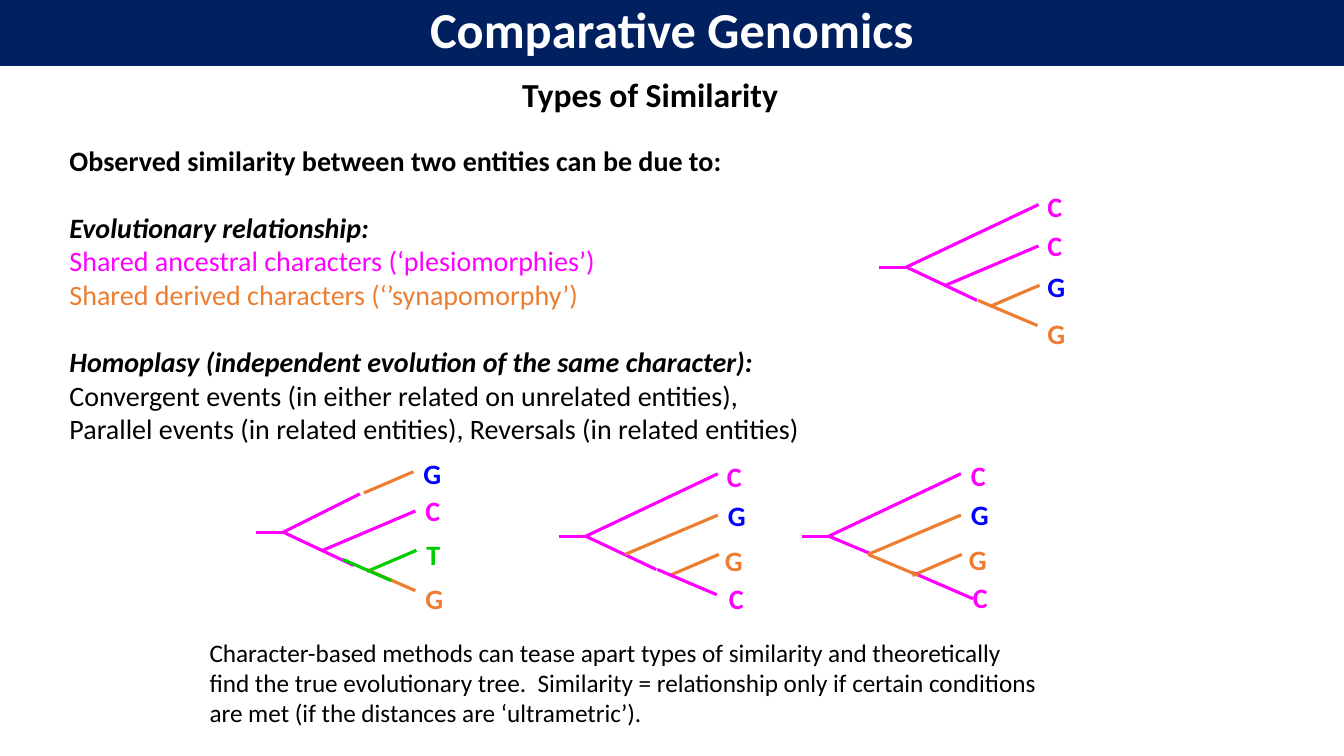
from lxml import etree
from pptx import Presentation
from pptx.dml.color import RGBColor as RGB
from pptx.enum.shapes import MSO_CONNECTOR as Conn, MSO_SHAPE as Kind
from pptx.enum.text import MSO_ANCHOR as Anchor, PP_ALIGN as Align
from pptx.oxml.ns import qn
from pptx.util import Pt

SCALE = 9144  # EMU per px, 100 px to the inch
BLACK = RGB(0x00, 0x00, 0x00)
WHITE = RGB(0xFF, 0xFF, 0xFF)
NAVY = RGB(0x00, 0x20, 0x60)
PINK = RGB(0xFF, 0x00, 0xFF)
ORANGE = RGB(0xED, 0x7D, 0x31)
BLUE = RGB(0x00, 0x00, 0xFF)
GREEN = RGB(0x00, 0xCC, 0x00)


class Deck:
    def __init__(self, wide, high):
        self.font = "Calibri"
        self.width = Pt(2.25)
        self.show = Presentation()
        self.show.slide_width = wide * SCALE
        self.show.slide_height = high * SCALE
        self.slide = self.show.slides.add_slide(self.show.slide_layouts[6])
        self.shapes = self.slide.shapes

    def style(self, para, size, color, bold=False, italic=False):
        for run in para.runs:
            font = run.font
            font.name, font.size = self.font, Pt(size)
            font.bold, font.italic = bold, italic
            font.color.rgb = color

    def ink(self, line, color):
        line.color.rgb = color
        line.width = self.width

    def text(self, box, size, rows):
        """Rows are (words, color, bold, italic, space before in points)."""
        frame = self.shapes.add_textbox(*(n * SCALE for n in box)).text_frame
        frame.word_wrap = True
        frame.text = "\n".join(row[0] for row in rows)
        for para, (_, color, bold, italic, gap) in zip(frame.paragraphs, rows):
            if gap:
                para.space_before = Pt(gap)
            self.style(para, size, color, bold, italic)

    def bar(self, box, words):
        rect = self.shapes.add_shape(Kind.RECTANGLE, *(n * SCALE for n in box))
        rect.shadow.inherit = False
        rect.fill.solid()
        rect.fill.fore_color.rgb = NAVY
        self.ink(rect.line, NAVY)
        frame = rect.text_frame
        frame.vertical_anchor = Anchor.MIDDLE
        frame.text = words
        para = frame.paragraphs[0]
        para.alignment, para.line_spacing = Align.CENTER, 0.9
        self.style(para, 36, WHITE, True)

    def line(self, x1, y1, x2, y2, color):
        ends = (n * SCALE for n in (x1, y1, x2, y2))
        link = self.shapes.add_connector(Conn.STRAIGHT, *ends)
        self.ink(link.line, color)
        etree.SubElement(link._element.spPr, qn("a:effectLst"))

    def bend(self, start, *rest):
        path = self.shapes.build_freeform(*start, scale=SCALE)
        path.add_line_segments(rest, close=False)
        shape = path.convert_to_shape()
        shape.shadow.inherit = False
        shape.fill.background()
        self.ink(shape.line, PINK)

    def tree(self, x, y, tip, low, twigs, tags):
        """Draw a tree; all other points are offsets from its fork at x, y."""
        self.bend((x + tip[0], y + tip[1]), (x, y), (x + low[0], y + low[1]))
        self.line(x - 27, y, x, y, PINK)
        for x1, y1, x2, y2, color in twigs:
            self.line(x + x1, y + y1, x + x2, y + y2, color)
        for dx, dy, base, color in tags:
            self.text((x + dx, y + dy, 48, 44), 20,
                      [(base, color, True, False, 0)])


def main():
    deck = Deck(1333, 750)
    deck.bar((0, 0, 1333, 64), "Comparative Genomics")
    deck.text((508, 68, 300, 50), 24,
              [("Types of Similarity", BLACK, True, False, 0)])
    deck.text((59, 137, 1241, 347), 20, [
        ("Observed similarity between two entities can be due to:",
         BLACK, True, False, 0),
        ("Evolutionary relationship:", BLACK, True, True, 24),
        ("Shared ancestral characters (‘plesiomorphies’)",
         PINK, False, False, 0),
        ("Shared derived characters (‘’synapomorphy’)",
         ORANGE, False, False, 0),
        ("Homoplasy (independent evolution of the same character):",
         BLACK, True, True, 24),
        ("Convergent events (in either related on unrelated entities),",
         BLACK, False, False, 0),
        ("Parallel events (in related entities), "
         "Reversals (in related entities)", BLACK, False, False, 0),
    ])
    notes = (
        "Character-based methods can tease apart types of similarity "
        "and theoretically",
        "find the true evolutionary tree.  Similarity = relationship "
        "only if certain conditions",
        "are met (if the distances are ‘ultrametric’).",
    )
    deck.text((198, 627, 937, 100), 18,
              [(note, BLACK, False, False, 0) for note in notes])

    tip, low = (131, -62), (70, 33)
    upper, lower = (39, 18, 131, -21), (83, 39, 132, 18)
    last = (71, 33, 130, 58)
    # Shared characters
    deck.tree(899, 265, tip, low,
              [(*upper, PINK), (*lower, ORANGE), (*last, ORANGE)],
              [(130, -82, "C", PINK), (130, -43, "C", PINK),
               (130, -3, "G", BLUE), (130, 44, "G", ORANGE)])
    # Convergence
    deck.tree(281, 528, (76, -38), low,
              [(*upper, PINK), (*lower, GREEN), (83, 37, 131, 58, ORANGE),
               (80, -39, 129, -60, ORANGE), (59, 27, 107, 48, GREEN)],
              [(129, -80, "G", BLUE), (131, -43, "C", PINK),
               (132, 0, "T", GREEN), (131, 44, "G", ORANGE)])
    # Parallel events
    deck.tree(581, 532, tip, low,
              [(*upper, ORANGE), (*lower, ORANGE), (*last, PINK)],
              [(130, -81, "C", PINK), (131, -42, "G", BLUE),
               (128, 2, "G", ORANGE), (132, 40, "C", PINK)])
    # Reversal
    deck.tree(822, 532, tip, (43, 18),
              [(*upper, ORANGE), (*lower, ORANGE),
               (83, 36, 143, 62, PINK), (39, 18, 89, 39, ORANGE)],
              [(131, -82, "C", PINK), (131, -43, "G", BLUE),
               (129, 1, "G", ORANGE), (133, 39, "C", PINK)])
    deck.show.save("out.pptx")


if __name__ == "__main__":
    main()
